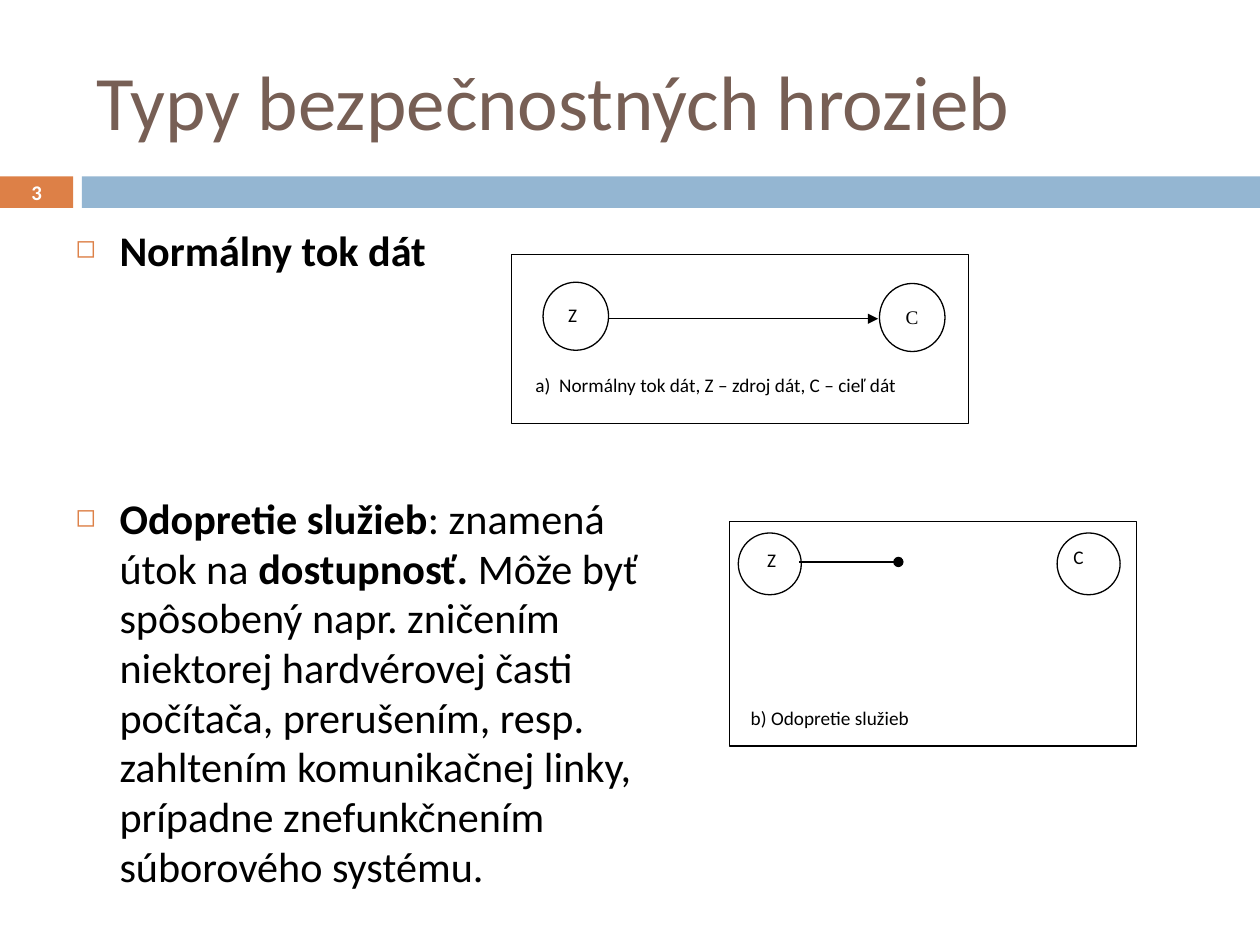
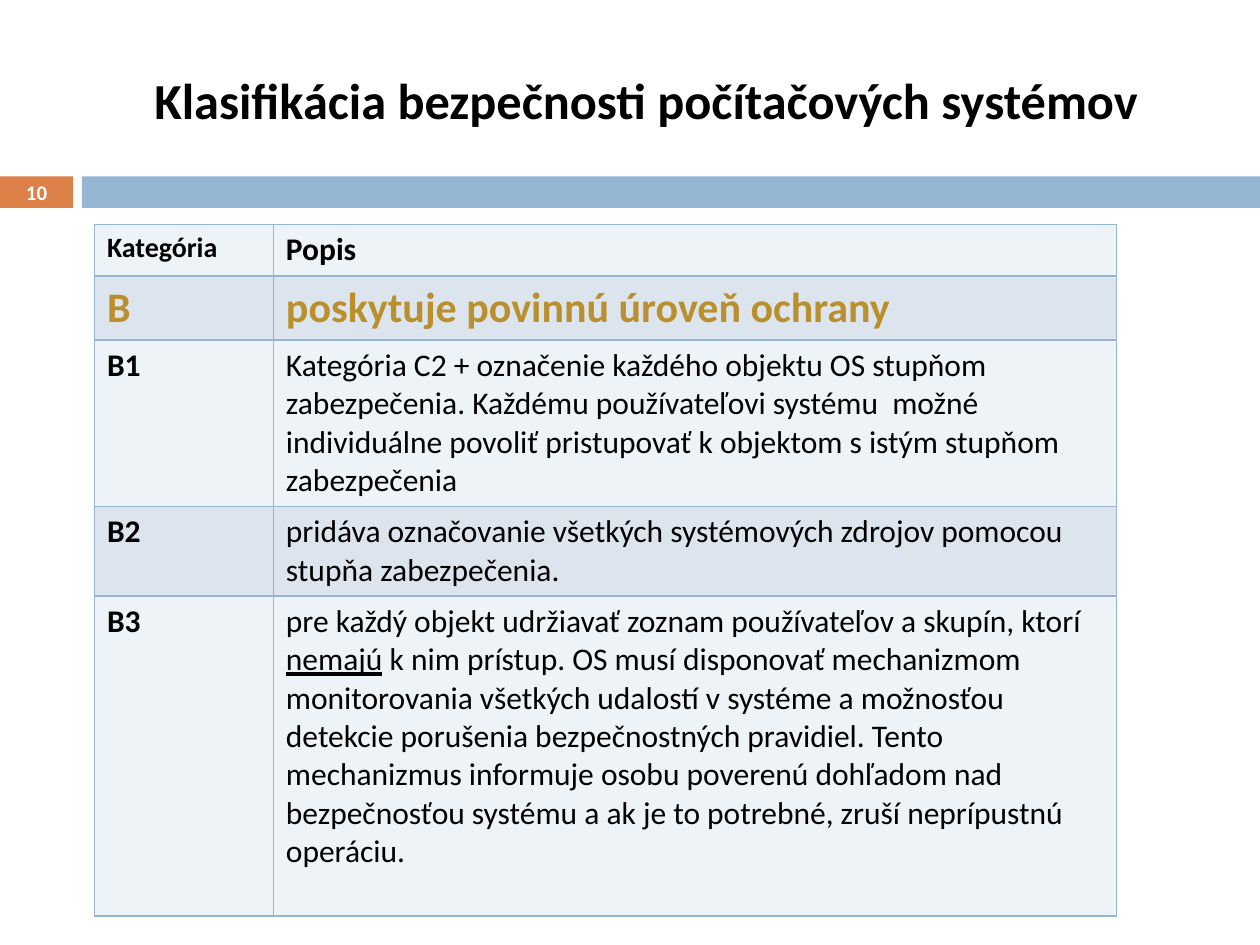
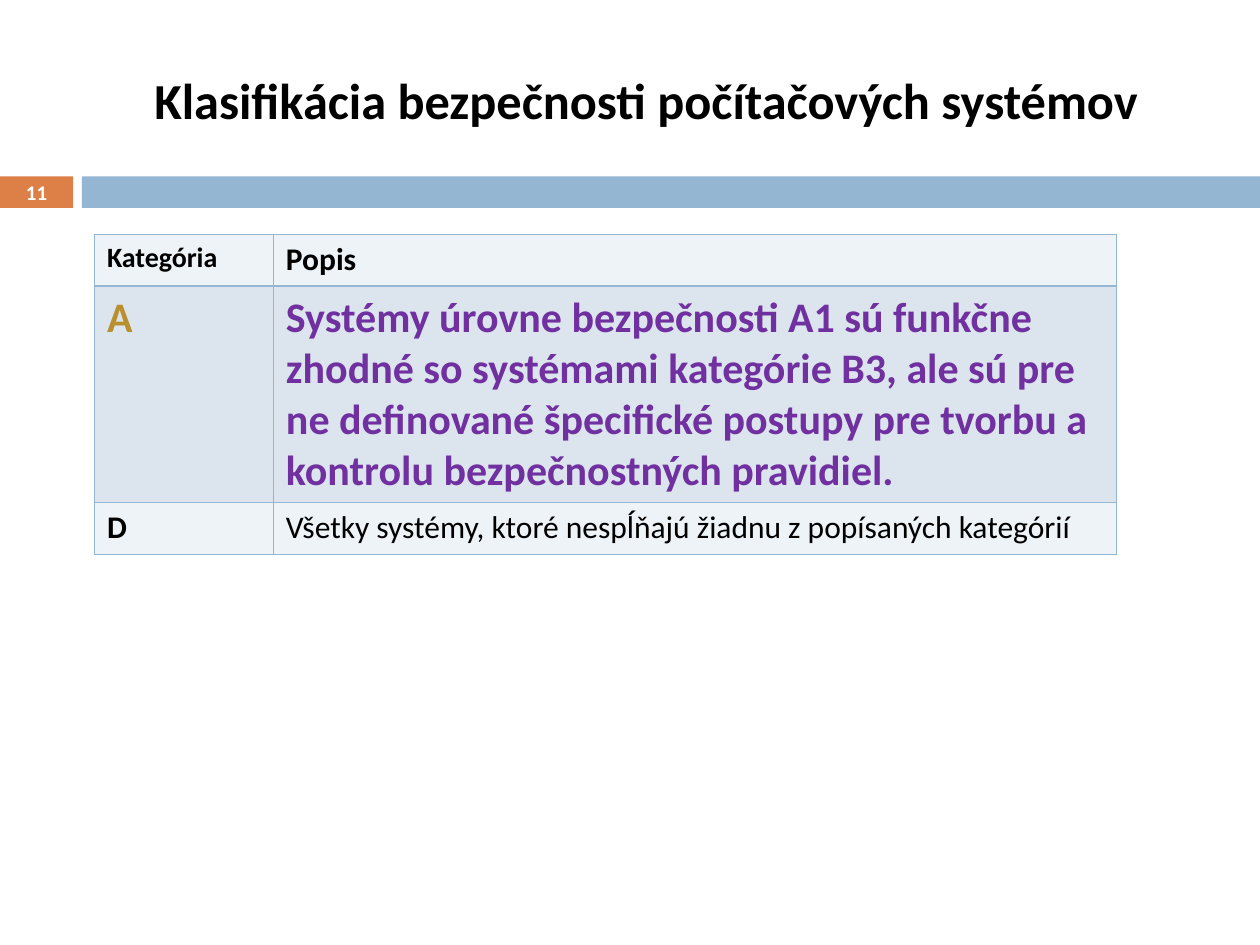
from lxml import etree
from pptx import Presentation
from pptx.dml.color import RGBColor
from pptx.enum.shapes import MSO_CONNECTOR as Link, MSO_SHAPE as Shape
from pptx.enum.text import MSO_ANCHOR as Anchor, PP_ALIGN as Align
from pptx.oxml.ns import qn
from pptx.util import Inches, Pt

HEX = {
    "white": "FFFFFF", "black": "000000", "brown": "775F55",
    "orange": "DD8047", "blue": "94B6D2", "gold": "BA8F2D",
    "purple": "7030A0", "pale": "EEF3F7", "tint": "DCE5EE",
}

FONT = {"name": "Calibri", "size": 18, "color": "black", "bold": False}
MAIN = {**FONT, "size": 44, "color": "brown"}
HEAD = {**FONT, "size": 28.8, "bold": True}
PAGE = {**FONT, "size": 11.9, "color": "white", "bold": True}
BODY = {**FONT, "size": 24.1}
NOTE = {**FONT, "size": 11}
BOLD = {"bold": True}
LARGE = {"bold": True, "size": 24, "color": "gold"}

BULLETS = [
    [("Normálny tok dát", BOLD)],
    [("Odopretie služieb", BOLD),
     (": znamená útok na ", {}),
     ("dostupnosť. ", BOLD),
     ("Môže byť spôsobený napr. zničením niektorej hardvérovej časti počítača, "
      "prerušením, resp. zahltením komunikačnej linky, prípadne znefunkčnením "
      "súborového systému.", {})],
]

FLOWS = [
    {"frame": (5.79, 4.14, 3.23, 1.78),
     "nodes": [(5.86, 4.23, 0.5, 0.49), (8.39, 4.23, 0.5, 0.49)],
     "notes": [("b) Odopretie služieb", (5.86, 5.56, 2.32, 0.48), {}),
               ("Z", (5.99, 4.3, 0.59, 0.39), {}),
               ("C", (8.42, 4.28, 0.59, 0.39), {})],
     "link": (6.34, 7.13, 4.46), "tip": "oval"},
    {"frame": (4.06, 2.02, 3.63, 1.34),
     "nodes": [(4.31, 2.24, 0.52, 0.54), (6.98, 2.25, 0.52, 0.54)],
     "notes": [("a)  Normálny tok dát, Z – zdroj dát, C – cieľ dát",
                (4.15, 2.91, 3.61, 0.39), {}),
               ("Z", (4.41, 2.36, 0.41, 0.31), {}),
               ("C", (7.09, 2.37, 0.36, 0.31), {"name": "Times New Roman"})],
     "link": (4.83, 6.97, 2.53), "tip": "triangle"},
]

CLASSES = "Klasifikácia bezpečnosti počítačových systémov"
TOP_ROW = (0.41, [("Kategória", {**BOLD, "size": 16})], [("Popis", BOLD)])
TABLES = [
    {"page": 10, "top": 1.78, "rows": [
        TOP_ROW,
        (0.51, [("B", LARGE)], [("poskytuje povinnú úroveň ochrany", LARGE)]),
        (1.32, [("B1", BOLD)],
         [("Kategória C2 + označenie každého objektu OS stupňom zabezpečenia. "
           "Každému používateľovi systému  možné individuálne povoliť "
           "pristupovať k objektom s istým stupňom zabezpečenia", {})]),
        (0.71, [("B2", BOLD)],
         [("pridáva označovanie všetkých systémových zdrojov pomocou stupňa "
           "zabezpečenia.", {})]),
        (2.54, [("B3", BOLD)],
         [("pre každý objekt udržiavať zoznam používateľov a skupín, ktorí ", {}),
          ("nemajú", {"underline": True}),
          (" k nim prístup. OS musí disponovať mechanizmom monitorovania "
           "všetkých udalostí v systéme a možnosťou detekcie porušenia "
           "bezpečnostných pravidiel. Tento mechanizmus informuje osobu "
           "poverenú dohľadom nad bezpečnosťou systému a ak je to potrebné, "
           "zruší neprípustnú operáciu.", {})]),
    ]},
    {"page": 11, "top": 1.86, "rows": [
        TOP_ROW,
        (1.72, [("A", LARGE)],
         [("Systémy úrovne bezpečnosti A1 sú funkčne zhodné so systémami "
           "kategórie B3, ale sú pre ne definované špecifické postupy pre "
           "tvorbu a kontrolu bezpečnostných pravidiel.",
           {**LARGE, "color": "purple"})]),
        (0.41, [("D", BOLD)],
         [("Všetky systémy, ktoré nespĺňajú žiadnu z popísaných kategórií", {})]),
    ]},
]
COLS = (1.42, 6.69)


def rgb(name):
    return RGBColor.from_string(HEX[name])


def inches(box):
    return [Inches(n) for n in box]


def sub(node, tag, **attrs):
    return etree.SubElement(node, qn(tag), attrs)


def write(par, runs, base):
    for text, extra in runs:
        run = par.add_run()
        run.text = text
        for key, value in {**base, **extra}.items():
            if key == "color":
                run.font.color.rgb = rgb(value)
            else:
                setattr(run.font, key, Pt(value) if key == "size" else value)


def add_text(shapes, box, runs, base, anchor=Anchor.TOP, align=Align.LEFT):
    frame = shapes.add_textbox(*inches(box)).text_frame
    frame.word_wrap = True
    frame.vertical_anchor = anchor
    par = frame.paragraphs[0]
    par.alignment = align
    write(par, runs, base)
    return frame


def add_form(shapes, kind, box, fill, line=None):
    form = shapes.add_shape(kind, *inches(box))
    form.shadow.inherit = False
    form.fill.solid()
    form.fill.fore_color.rgb = rgb(fill)
    if line:
        form.line.color.rgb = rgb(line)
        form.line.width = Pt(0.75)
    else:
        form.line.fill.background()


def add_link(shapes, start, end, y, tip):
    link = shapes.add_connector(Link.STRAIGHT, *inches((start, y, end, y)))
    link.line.color.rgb = rgb("black")
    link.line.width = Pt(0.75)
    props = link._element.spPr
    sub(props.find(qn("a:ln")), "a:tailEnd", type=tip)
    sub(props, "a:effectLst")


def add_page(deck, title, look, align, page):
    """Add a slide with its bands, title and page number."""
    shapes = deck.slides.add_slide(deck.slide_layouts[6]).shapes
    add_form(shapes, Shape.RECTANGLE, (0, 1.4, 0.58, 0.25), "orange")
    add_form(shapes, Shape.RECTANGLE, (0.65, 1.4, 9.35, 0.25), "blue")
    add_text(shapes, (0.67, 0.25, 8.92, 1.08), [(title, {})], look,
             Anchor.MIDDLE, align)
    add_text(shapes, (0, 1.39, 0.58, 0.27), [(str(page), {})], PAGE,
             Anchor.MIDDLE, Align.CENTER)
    return shapes


def add_bullets(shapes):
    frame = add_text(shapes, (0.5, 1.75, 4.81, 4.95), BULLETS[0], BODY)
    par = frame.add_paragraph()
    par.space_before = Pt(125)
    write(par, BULLETS[1], BODY)
    for par in frame.paragraphs:
        par.line_spacing = 0.98
        props = par._p.get_or_add_pPr()
        props.set("marL", str(Inches(0.35)))
        props.set("indent", str(-Inches(0.35)))
        sub(sub(props, "a:buClr"), "a:srgbClr", val=HEX["orange"])
        sub(props, "a:buSzPct", val="60000")
        sub(props, "a:buChar", char="◻")


def add_flow(shapes, flow):
    group = shapes.add_group_shape().shapes
    add_form(group, Shape.RECTANGLE, flow["frame"], "white", "black")
    for box in flow["nodes"]:
        add_form(group, Shape.OVAL, box, "white", "black")
    for text, box, extra in flow["notes"]:
        add_text(group, box, [(text, extra)], NOTE)
    add_link(group, *flow["link"], flow["tip"])


def add_grid(shapes, top, rows):
    box = (0.75, top, sum(COLS), sum(row[0] for row in rows))
    table = shapes.add_table(len(rows), len(COLS), *inches(box)).table
    table.first_row = table.horz_banding = False
    for col, width in zip(table.columns, COLS):
        col.width = Inches(width)
    for i, (height, *cells) in enumerate(rows):
        table.rows[i].height = Inches(height)
        for cell, runs in zip(table.rows[i].cells, cells):
            props = cell._tc.get_or_add_tcPr()
            for side in "LRTB":
                edge = sub(props, "a:ln" + side, w=str(Pt(1)))
                sub(sub(edge, "a:solidFill"), "a:srgbClr", val=HEX["blue"])
            cell.fill.solid()
            cell.fill.fore_color.rgb = rgb("tint" if i % 2 else "pale")
            write(cell.text_frame.paragraphs[0], runs, FONT)


def main():
    deck = Presentation()
    deck.slide_width, deck.slide_height = inches((10, 7.5))
    shapes = add_page(deck, "Typy bezpečnostných hrozieb", MAIN, Align.LEFT, 3)
    add_bullets(shapes)
    for flow in FLOWS:
        add_flow(shapes, flow)
    for grid in TABLES:
        shapes = add_page(deck, CLASSES, HEAD, Align.CENTER, grid["page"])
        add_grid(shapes, grid["top"], grid["rows"])
    deck.save("out.pptx")


if __name__ == "__main__":
    main()
